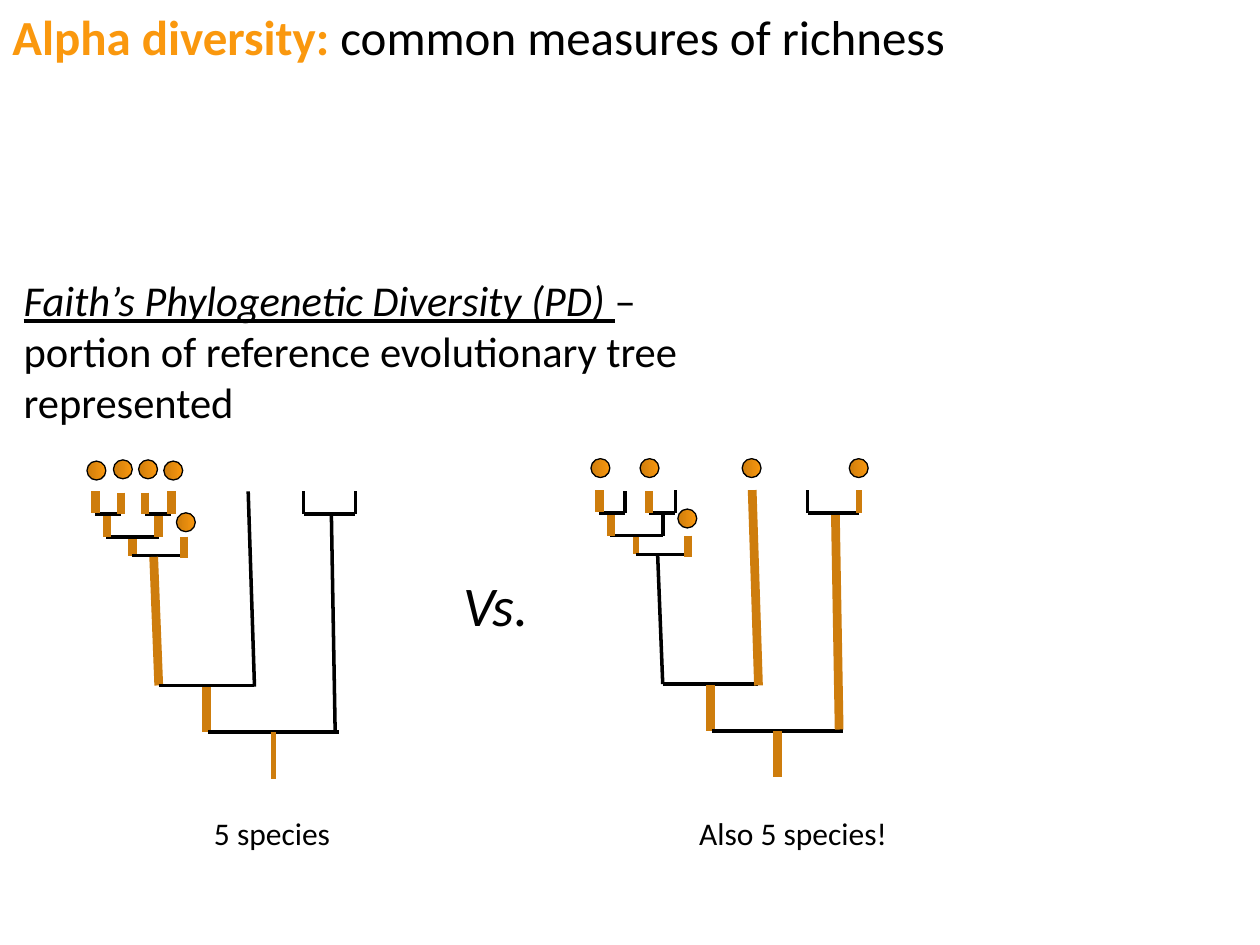
import pptx
import pptx.util
import pptx.dml.color
import pptx.enum.shapes
import pptx.enum.text
import pptx.oxml.ns
import lxml.etree

Inches, Pt = pptx.util.Inches, pptx.util.Pt
RGB = pptx.dml.color.RGBColor.from_string

THEME = {
    "ink": RGB("000000"), "accent": RGB("FA980E"), "branch": RGB("CE7D0D"),
    "font": "Calibri",
    "heading": Pt(28), "body": Pt(24.3), "versus": Pt(32), "caption": Pt(18),
    "outline": Pt(0.75),
}
# Branch styles: absent from the sample, present, present but drawn thinner
STYLES = {
    "-": (THEME["ink"], Pt(2)),
    "P": (THEME["branch"], Pt(5)),
    "p": (THEME["branch"], Pt(3.25)),
}

deck = pptx.Presentation()
deck.slide_width, deck.slide_height = Inches(10), Inches(7.5)
page = deck.slides.add_slide(deck.slide_layouts[6])


def add_text(area, size, spans, wrap=False):
    box = page.shapes.add_textbox(*map(Inches, area))
    frame = box.text_frame
    frame.word_wrap = wrap
    if not wrap:
        frame.auto_size = pptx.enum.text.MSO_AUTO_SIZE.SHAPE_TO_FIT_TEXT
    para = frame.paragraphs[0]
    for text, formats in spans:
        span = para.add_run()
        span.text = text
        span.font.color.rgb = formats.get("color", THEME["ink"])
        values = {"name": THEME["font"], "size": size, **formats}
        values.pop("color", None)
        for name, value in values.items():
            setattr(span.font, name, value)
    return frame


# Heading and definition
add_text((0, 0, 7.71, 0.57), THEME["heading"], [
    ("Alpha diversity: ", {"bold": True, "color": THEME["accent"]}),
    ("common measures of richness", {}),
])
definition = add_text((0.09, 2.17, 5.56, 1.22), THEME["body"], [
    ("Faith’s Phylogenetic Diversity (PD) ", {"italic": True, "underline": True}),
    ("– portion of reference evolutionary tree represented", {}),
], wrap=True)
definition.margin_top = definition.margin_bottom = 0
definition.vertical_anchor = pptx.enum.text.MSO_ANCHOR.MIDDLE

# Shared tree: from x, from y, to x, to y, style in the left and right tree
BRANCHES = [
    (1.05, 4.26, 1.05, 4.41, "Pp"),
    (1.05, 4.41, 1.46, 4.41, "--"),
    (1.46, 4.26, 1.46, 4.43, "PP"),
    (0.84, 4.26, 1.26, 4.26, "--"),
    (0.85, 4.08, 0.85, 4.26, "PP"),
    (1.26, 4.08, 1.26, 4.26, "P-"),
    (1.15, 4.08, 1.36, 4.08, "--"),
    (1.15, 3.91, 1.15, 4.08, "PP"),
    (1.36, 3.90, 1.36, 4.08, "P-"),
    (0.75, 4.08, 0.96, 4.08, "--"),
    (0.76, 3.90, 0.76, 4.07, "PP"),
    (0.96, 3.91, 0.96, 4.08, "P-"),
    (1.22, 4.42, 1.26, 5.44, "P-"),
    (1.26, 5.44, 2.02, 5.44, "--"),
    (1.97, 3.90, 2.02, 5.45, "-P"),
    (1.64, 5.45, 1.64, 5.81, "PP"),
    (1.65, 5.81, 2.69, 5.81, "--"),
    (2.63, 4.08, 2.66, 5.80, "-P"),
    (2.41, 4.08, 2.82, 4.08, "--"),
    (2.41, 3.90, 2.41, 4.08, "--"),
    (2.82, 3.90, 2.82, 4.08, "-p"),
    (2.17, 5.81, 2.17, 6.18, "pP"),
]
TREE_SHIFTS = [(0, 0), (4, -0.01)]
SPECIES = [
    [(0.69, 3.66), (0.9, 3.65), (1.1, 3.65), (1.3, 3.66), (1.4, 4.07)],
    [(4.69, 3.64), (5.08, 3.64), (5.89, 3.64), (6.74, 3.64), (5.38, 4.04)],
]
DOT = Inches(0.15)

for tree, (right, down) in enumerate(TREE_SHIFTS):
    # Branches
    for x1, y1, x2, y2, styles in BRANCHES:
        branch = page.shapes.add_connector(
            pptx.enum.shapes.MSO_CONNECTOR.STRAIGHT,
            Inches(x1 + right), Inches(y1 + down),
            Inches(x2 + right), Inches(y2 + down))
        branch.line.color.rgb, branch.line.width = STYLES[styles[tree]]
        lxml.etree.SubElement(branch._element.spPr, pptx.oxml.ns.qn("a:effectLst"))

    # Observed species
    for left, top in SPECIES[tree]:
        dot = page.shapes.add_shape(
            pptx.enum.shapes.MSO_SHAPE.OVAL, Inches(left), Inches(top), DOT, DOT)
        dot.shadow.inherit = False
        dot.fill.gradient()
        dot.fill.gradient_angle = 0
        for stop, position, color in zip(
                dot.fill.gradient_stops, (0, 1), (THEME["branch"], THEME["accent"])):
            stop.position = position
            stop.color.rgb = color
        dot.line.color.rgb = THEME["ink"]
        dot.line.width = THEME["outline"]

# Captions and comparison
add_text((1.6, 6.41, 1.13, 0.4), THEME["caption"], [("5 species", {})])
add_text((5.45, 6.41, 1.71, 0.4), THEME["caption"], [("Also 5 species!", {})])
add_text((3.58, 4.48, 0.73, 0.64), THEME["versus"], [("Vs.", {"italic": True})])

deck.save("out.pptx")
